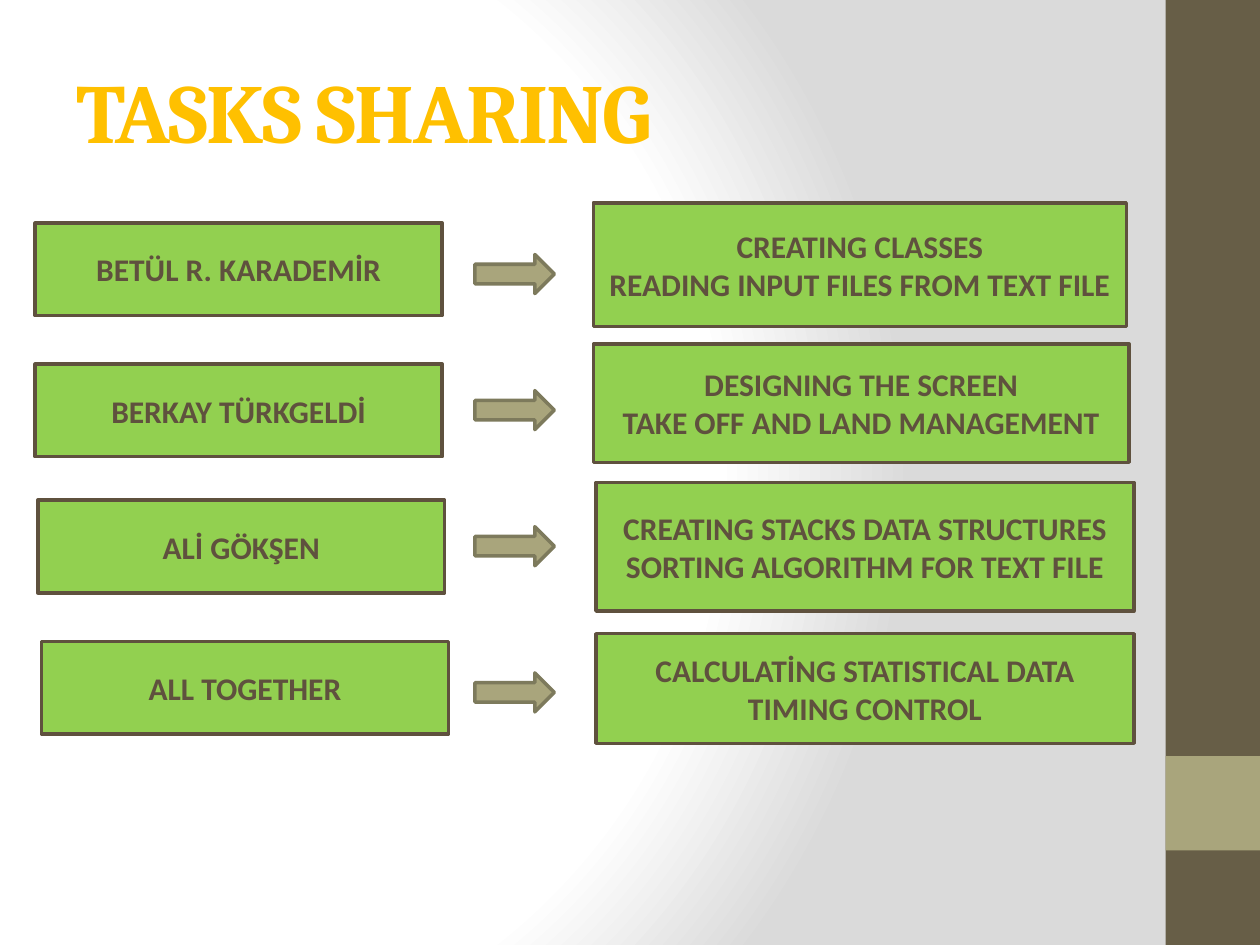
from pptx import Presentation
from pptx.dml.color import RGBColor
from pptx.enum.shapes import MSO_SHAPE as Shape
from pptx.enum.text import MSO_ANCHOR as Anchor, MSO_AUTO_SIZE as AutoSize, PP_ALIGN as Align
from pptx.oxml import parse_xml
from pptx.oxml.ns import nsdecls, qn
from pptx.util import Inches, Pt

COLUMNS, ROWS = 40, 30


def color(hex_string):
    return RGBColor.from_string(hex_string)


class TaskSlide:
    OLIVE, KHAKI, KHAKI_EDGE = "675E47", "A9A57C", "7D7A5C"
    GREEN, BROWN, GOLD = "92D050", "5F513E", "FFC000"
    STOPS = ((0, "FFFFFF"), (75, "FFFFFF"), (100, "DADADA"))

    def __init__(self, deck):
        self.slide = deck.slides.add_slide(deck.slide_layouts[5])
        self.column = deck.slide_width / COLUMNS
        self.row = deck.slide_height / ROWS

    def grid(self, left, top, width, height):
        return (round(left * self.column), round(top * self.row),
                round(width * self.column), round(height * self.row))

    def background(self):
        self.slide.background.fill.solid()
        solid = self.slide.element.find(".//" + qn("p:bgPr")).find(qn("a:solidFill"))
        stops = "".join(f'<a:gs pos="{share * 1000}"><a:srgbClr val="{tint}"/></a:gs>'
                        for share, tint in self.STOPS)
        gradient = parse_xml(
            f'<a:gradFill {nsdecls("a")} rotWithShape="1"><a:gsLst>{stops}</a:gsLst>'
            '<a:path path="circle"><a:fillToRect l="20000" t="50000" r="100000" b="50000"/>'
            '</a:path></a:gradFill>')
        solid.getparent().replace(solid, gradient)

    def set_text(self, frame, text, font_name, size, tint, align):
        frame.text = text
        frame.word_wrap = True
        frame.vertical_anchor = Anchor.MIDDLE
        for paragraph in frame.paragraphs:
            paragraph.alignment = align
            for run in paragraph.runs:
                font = run.font
                font.name, font.size, font.bold = font_name, Pt(size), True
                font.color.rgb = color(tint)

    def title(self, text, *place):
        heading = self.slide.shapes.title
        heading.left, heading.top, heading.width, heading.height = self.grid(*place)
        frame = heading.text_frame
        self.set_text(frame, text, "Cambria", 48, self.GOLD, Align.LEFT)
        frame.auto_size = AutoSize.NONE
        frame.margin_bottom = Inches(0.75)  # lifts the heading in its box
        for run_properties in heading.element.iter(qn("a:rPr")):
            run_properties.set("spc", "-100")

    def block(self, preset, place, fill, edge=None):
        block = self.slide.shapes.add_shape(preset, *self.grid(*place))
        block.shadow.inherit = False
        block.fill.solid()
        block.fill.fore_color.rgb = color(fill)
        if edge:
            block.line.color.rgb = color(edge)
            block.line.width = Pt(2)
        else:
            block.line.fill.background()
        return block

    def band(self, *place, fill):
        self.block(Shape.RECTANGLE, place, fill)

    def arrow(self, *place):
        self.block(Shape.RIGHT_ARROW, place, self.KHAKI, self.KHAKI_EDGE)

    def card(self, text, *place):
        card = self.block(Shape.RECTANGLE, place, self.GREEN, self.BROWN)
        self.set_text(card.text_frame, text, "Calibri", 18, self.BROWN, Align.CENTER)


# Each row: person, (left, top); arrow top; tasks, (left, top, width, height)
ASSIGNMENTS = [
    ("BETÜL R. KARADEMİR", (1.12, 7.08), 8.08,
     "CREATING CLASSES\nREADING INPUT FILES FROM TEXT FILE", (18.84, 6.44, 16.92, 3.92)),
    ("BERKAY TÜRKGELDİ", (1.12, 11.56), 12.4,
     "DESIGNING THE SCREEN\nTAKE OFF AND LAND MANAGEMENT", (18.84, 10.92, 17, 3.76)),
    ("ALİ GÖKŞEN", (1.2, 15.88), 16.72,
     "CREATING STACKS DATA STRUCTURES\nSORTING ALGORITHM FOR TEXT FILE",
     (18.92, 15.32, 17.08, 4.08)),
    ("ALL TOGETHER", (1.32, 20.36), 21.36,
     "CALCULATİNG STATISTICAL DATA\nTIMING CONTROL", (18.92, 20.12, 17.08, 3.48)),
]


def main():
    deck = Presentation()
    deck.slide_width, deck.slide_height = Inches(10), Inches(7.5)
    page = TaskSlide(deck)

    # Backdrop and side band
    page.background()
    page.band(37, 0, 3, ROWS, fill=page.OLIVE)
    page.band(37, 24, 3, 3, fill=page.KHAKI)

    # Heading
    page.title("TASKS SHARING", 2.04, 2.4, 33.32, 5)

    # Who does what
    for person, person_corner, arrow_top, tasks, tasks_place in ASSIGNMENTS:
        page.card(person, *person_corner, 12.92, 2.94)
        page.arrow(15.08, arrow_top, 2.52, 1.24)
        page.card(tasks, *tasks_place)

    deck.save("out.pptx")


if __name__ == "__main__":
    main()
